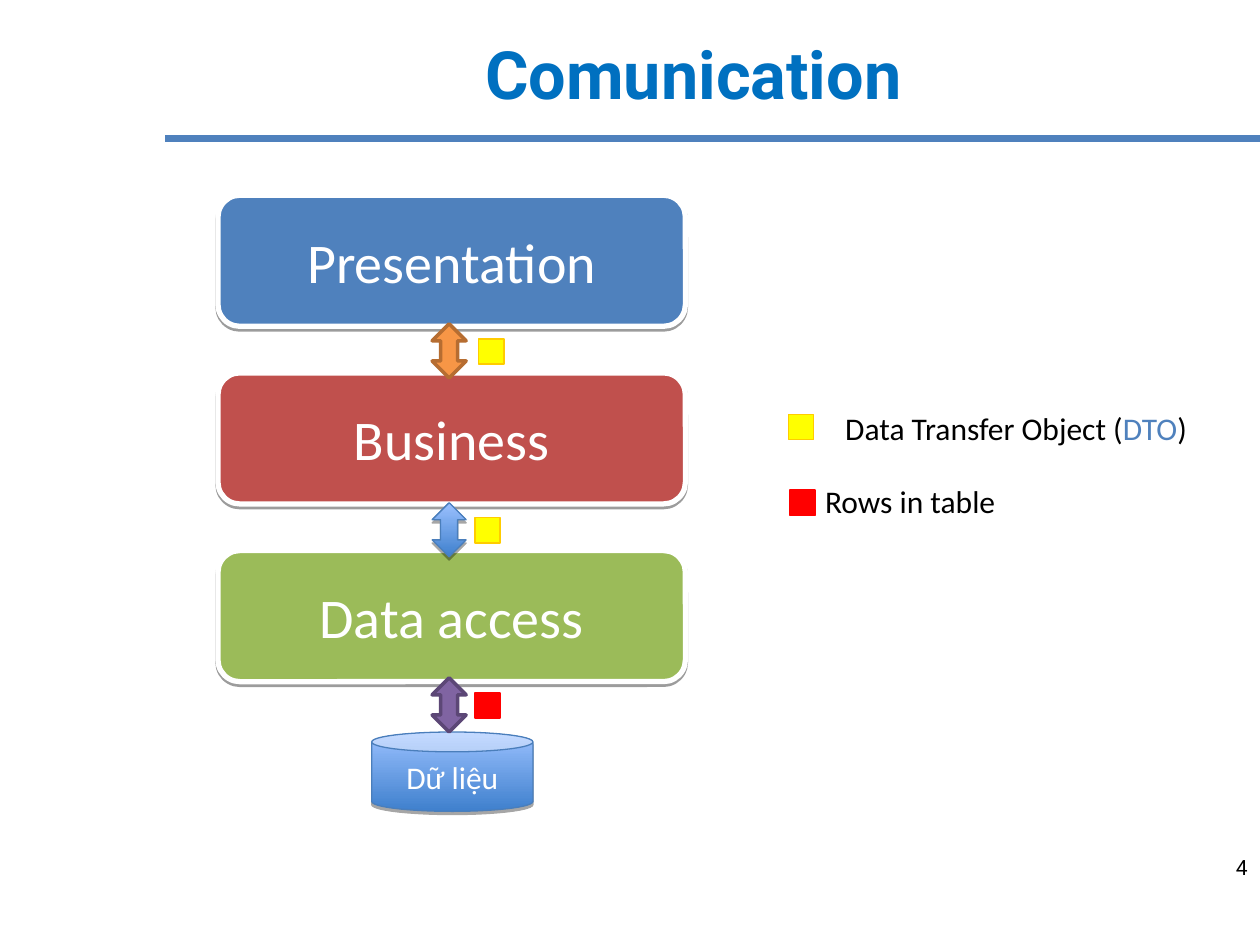
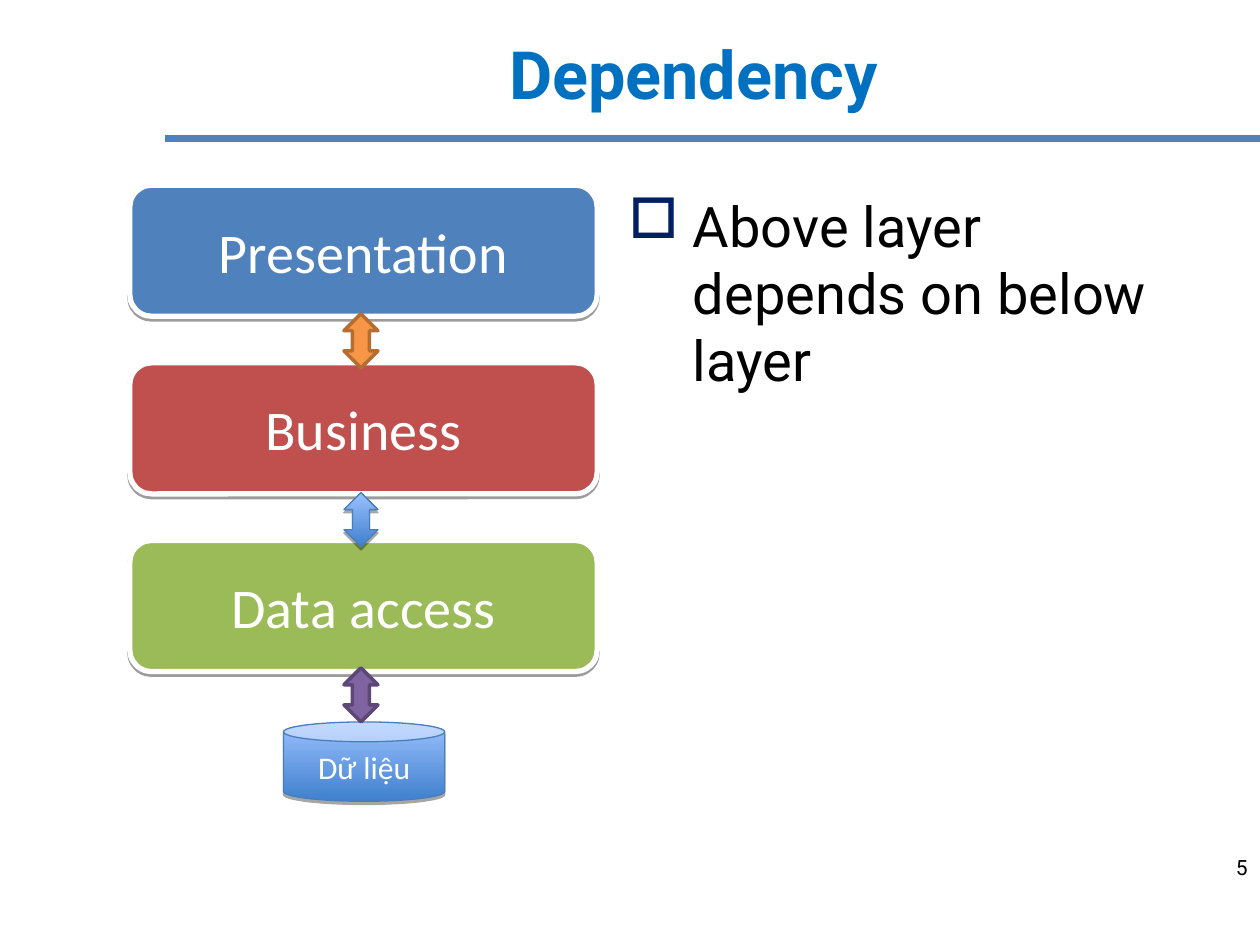
"""Build two slides on the communication and dependency of software layers."""
from lxml.etree import SubElement
from pptx import Presentation
from pptx.dml.color import RGBColor
from pptx.enum.shapes import MSO_CONNECTOR as Connector, MSO_SHAPE as Shape
from pptx.enum.text import MSO_ANCHOR as Anchor, MSO_AUTO_SIZE as AutoSize, PP_ALIGN as Align
from pptx.oxml.ns import qn
from pptx.util import Inches, Pt

COLORS = {
    "title": "0070C0", "rule": "4F81BD", "text": "000000", "white": "FFFFFF",
    "bullet": "002060", "blue": "4F81BD", "red": "C0504D", "green": "9BBB59",
    "orange": "F79646", "orange edge": "B66D31", "purple": "8064A2", "purple edge": "5C4776",
    "deep sky": "3F80CD", "light sky": "9BC1FF", "sky edge": "4A7EBB",
    "dto": "FFFF00", "dto edge": "FFCC00", "rows": "FF0000",
}
HEADING_FONT, LABEL_FONT = "Roboto", "Calibri"
SKY = ("deep sky", "light sky")

LAYERS = [("Presentation", "blue"), ("Business", "red"), ("Data access", "green")]
DATABASE = "Dữ liệu"
ARROWS = [(1.02, "orange", "orange edge"), (2.44, SKY, "sky edge"), (3.83, "purple", "purple edge")]
TOKENS = [(2.07, "dto", "dto edge"), (2.04, "dto", "dto edge"), (2.04, "rows", "rows")]
LEGEND = [
    ((6.26, 3.29), ("dto", "dto edge"), (6.61, 3.2, 2.95, 0.4),
     [("Data Transfer Object (", "text"), ("DTO", "blue"), (")", "text")]),
    ((6.27, 3.89), ("rows", "rows"), (6.45, 3.78, 1.56, 0.4), [("Rows in table", "text")]),
]
SLIDES = [
    {"title": "Comunication", "number": 4, "stack": (1.73, 1.55), "tokens": TOKENS, "legend": LEGEND},
    {"title": "Dependency", "number": 5, "stack": (1.03, 1.47),
     "point": "Above layer depends on below layer"},
]
LAYER_STEP, TOKEN_SIZE, TOKEN_DROP = 1.41, 0.2, 0.12


def rgb(name):
    return RGBColor.from_string(COLORS[name])


def inches(*lengths):
    return [Inches(length) for length in lengths]


def write(holder, runs, size, font, align=Align.LEFT, anchor=Anchor.TOP, bold=False):
    frame = holder.text_frame
    frame.word_wrap = True
    frame.vertical_anchor = anchor
    paragraph = frame.paragraphs[0]
    paragraph.alignment = align
    for text, color in runs:
        run = paragraph.add_run()
        run.text = text
        run.font.size, run.font.name, run.font.bold = Pt(size), font, bold
        run.font.color.rgb = rgb(color)
    return frame


def add_part(shapes, kind, box, fill, edge, width=0.75, shadow=None):
    part = shapes.add_shape(kind, *inches(*box))
    part.shadow.inherit = False
    if isinstance(fill, tuple):
        part.fill.gradient()
        part.fill.gradient_angle = 90
        for stop, color in zip(part.fill.gradient_stops, fill):
            stop.color.rgb = rgb(color)
    else:
        part.fill.solid()
        part.fill.fore_color.rgb = rgb(fill)
    part.line.color.rgb = rgb(edge)
    part.line.width = Pt(width)
    if shadow:
        distance, opacity = shadow
        effects = part._element.spPr.find(qn("a:effectLst"))
        outer = SubElement(effects, qn("a:outerShdw"), blurRad="0", dist=str(Pt(distance)),
                           dir="5400000", rotWithShape="0")
        tone = SubElement(outer, qn("a:srgbClr"), val=COLORS["text"])
        SubElement(tone, qn("a:alpha"), val=str(opacity * 1000))
    return part


def add_token(shapes, left, top, fill, edge):
    add_part(shapes, Shape.RECTANGLE, (left, top, TOKEN_SIZE, TOKEN_SIZE), fill, edge)


def add_frame(slide, title, number):
    rule = slide.shapes.add_connector(Connector.STRAIGHT, *inches(1.31, 1.1, 10, 1.1))
    rule.line.color.rgb = rgb("rule")
    rule.line.width = Pt(4.25)
    SubElement(rule._element.spPr, qn("a:effectLst"))
    heading = slide.shapes.title
    heading.left, heading.top, heading.width, heading.height = inches(1.51, 0.05, 7.99, 1.06)
    frame = write(heading, [(title, "title")], 38, HEADING_FONT, Align.CENTER, Anchor.MIDDLE, True)
    frame.auto_size = AutoSize.NONE
    footer = slide.shapes.add_textbox(*inches(7.67, 6.68, 2.33, 0.4))
    write(footer, [(str(number), "text")], 12, HEADING_FONT, Align.RIGHT, Anchor.MIDDLE)


def add_stack(slide, left, top, tokens):
    shapes = slide.shapes.add_group_shape().shapes
    for row, (name, color) in enumerate(LAYERS):
        layer = add_part(shapes, Shape.ROUNDED_RECTANGLE, (left, top + row * LAYER_STEP, 3.71, 1.04),
                         color, "white", 3, (1.6, 38))
        write(layer, [(name, "white")], 32, LABEL_FONT, Align.CENTER, Anchor.MIDDLE)
    database = add_part(shapes, Shape.CAN, (left + 1.22, top + 4.26, 1.28, 0.63),
                        SKY, "sky edge", shadow=(1.8, 35))
    write(database, [(DATABASE, "white")], 18, LABEL_FONT, Align.CENTER, Anchor.MIDDLE)
    for drop, fill, edge in ARROWS:
        width, shadow = (0.75, (1.8, 35)) if fill == SKY else (2, None)
        add_part(shapes, Shape.UP_DOWN_ARROW, (left + 1.7, top + drop, 0.27, 0.43),
                 fill, edge, width, shadow)
    for (drop, *_), (shift, fill, edge) in zip(ARROWS, tokens):
        add_token(shapes, left + shift, top + drop + TOKEN_DROP, fill, edge)


def add_legend(slide, legend):
    for corner, colors, box, runs in legend:
        shapes = slide.shapes.add_group_shape().shapes
        add_token(shapes, *corner, *colors)
        frame = write(shapes.add_textbox(*inches(*box)), runs, 18, LABEL_FONT)
        frame.word_wrap = False
        frame.auto_size = AutoSize.SHAPE_TO_FIT_TEXT


def add_point(slide, point):
    body = slide.shapes.add_textbox(*inches(4.89, 1.47, 4.61, 5.04))
    frame = write(body, [(point, "text")], 32, HEADING_FONT)
    properties = frame.paragraphs[0]._p.get_or_add_pPr()
    properties.set("marL", str(Inches(0.51)))
    properties.set("indent", str(Inches(-0.51)))
    SubElement(SubElement(properties, qn("a:buClr")), qn("a:srgbClr"), val=COLORS["bullet"])
    SubElement(properties, qn("a:buChar"), char="□")


def main():
    deck = Presentation()
    deck.slide_width, deck.slide_height = inches(10, 7.5)
    for content in SLIDES:
        slide = deck.slides.add_slide(deck.slide_layouts[5])
        add_frame(slide, content["title"], content["number"])
        add_legend(slide, content.get("legend", []))
        if "point" in content:
            add_point(slide, content["point"])
        add_stack(slide, *content["stack"], content.get("tokens", []))
    deck.save("out.pptx")


if __name__ == "__main__":
    main()
